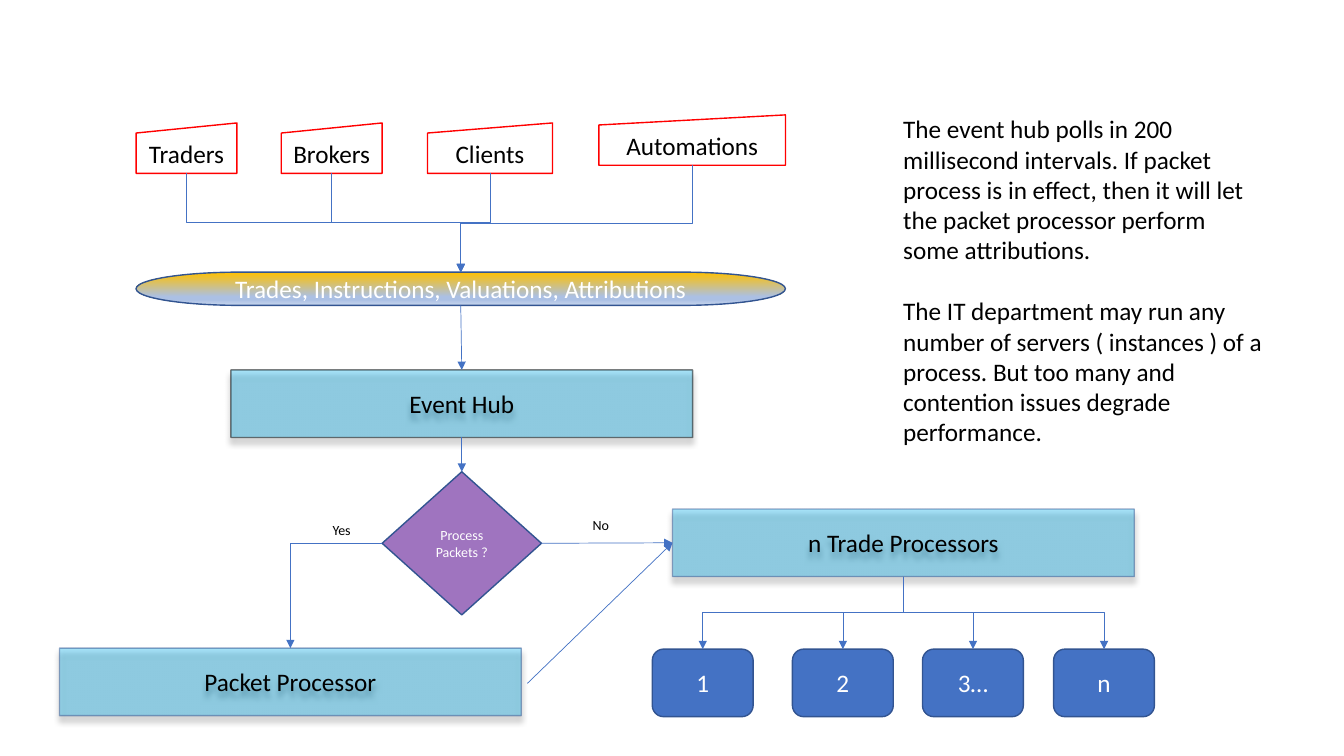
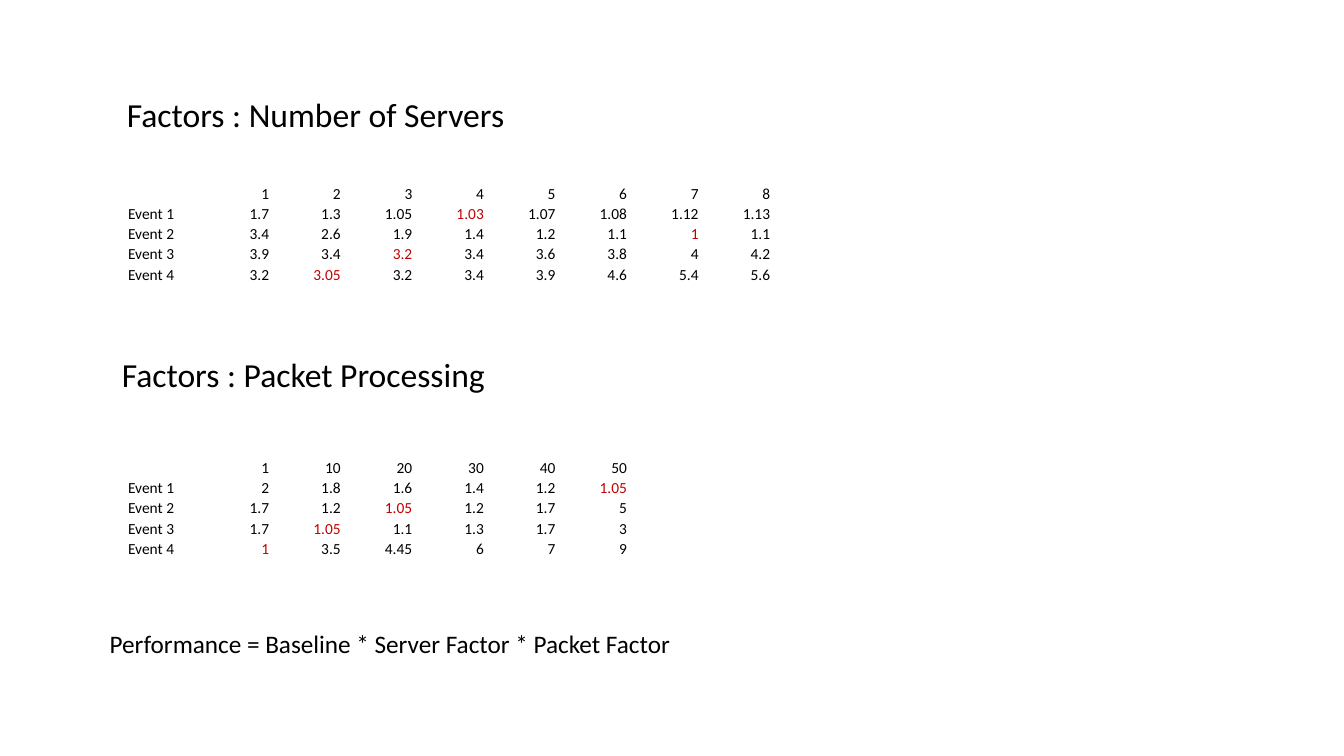
from dataclasses import dataclass
from typing import Optional

import pptx
import pptx.dml.color
import pptx.enum.shapes
import pptx.enum.text
import pptx.oxml.ns
import pptx.shapes.autoshape
import pptx.shapes.connector
import pptx.slide
import pptx.text.text
import pptx.util
from lxml import etree

Inches = pptx.util.Inches
Pt = pptx.util.Pt
RGBColor = pptx.dml.color.RGBColor
Preset = pptx.enum.shapes.MSO_SHAPE
Route = pptx.enum.shapes.MSO_CONNECTOR
Align = pptx.enum.text.PP_ALIGN
Anchor = pptx.enum.text.MSO_ANCHOR
qn = pptx.oxml.ns.qn
Shape = pptx.shapes.autoshape.Shape
Connector = pptx.shapes.connector.Connector
Slide = pptx.slide.Slide

FONT = "Calibri"
BLACK = RGBColor(0x00, 0x00, 0x00)
WHITE = RGBColor(0xFF, 0xFF, 0xFF)
RED = RGBColor(0xFF, 0x00, 0x00)
DARK_RED = RGBColor(0xC0, 0x00, 0x00)
BLUE = RGBColor(0x44, 0x72, 0xC4)
NAVY = RGBColor(0x32, 0x54, 0x91)
SKY = RGBColor(0x00, 0xB0, 0xF0)
PURPLE = RGBColor(0x70, 0x30, 0xA0)
GOLD = RGBColor(0xFF, 0xC0, 0x00)
PALE_BLUE = RGBColor(0xAB, 0xC0, 0xE4)
PALEST_BLUE = RGBColor(0xC7, 0xD5, 0xED)
MESSAGE_STOPS = ((0, GOLD), (74, PALE_BLUE), (83, PALE_BLUE), (100, PALEST_BLUE))

TOP, LEFT, BOTTOM, RIGHT = range(4)  # connection sites


@dataclass(frozen=True)
class Style:
    preset: Preset
    line: RGBColor
    fill: Optional[RGBColor] = None
    text: RGBColor = BLACK
    size: int = 18
    fill_opacity: int = 100
    line_opacity: int = 100
    shadow: bool = False


@dataclass(frozen=True)
class Node:
    text: str
    left: float
    top: float
    width: float
    height: float


@dataclass(frozen=True)
class Note:
    paragraphs: tuple[str, ...]
    left: float
    top: float
    width: float
    height: float
    size: int = 18


@dataclass(frozen=True)
class FactorTable:
    top: float
    header: str
    rows: tuple[str, ...]


SOURCE = Style(Preset.FLOWCHART_MANUAL_INPUT, RED)
MESSAGE = Style(Preset.FLOWCHART_TERMINATOR, NAVY, text=WHITE)
HUB = Style(Preset.FLOWCHART_PROCESS, BLACK, SKY,
            fill_opacity=34, line_opacity=50, shadow=True)
PROCESSOR = Style(Preset.FLOWCHART_PROCESS, NAVY, SKY,
                  fill_opacity=34, line_opacity=50, shadow=True)
DECISION = Style(Preset.DIAMOND, NAVY, PURPLE, WHITE, 10, fill_opacity=67)
INSTANCE = Style(Preset.FLOWCHART_ALTERNATE_PROCESS, NAVY, BLUE, WHITE)

SOURCES = (
    Node("Traders", 1.35, 1.22, 1, 0.5),
    Node("Brokers", 2.79, 1.22, 1, 0.5),
    Node("Clients", 4.24, 1.22, 1.24, 0.5),
    Node("Automations", 5.94, 1.14, 1.85, 0.5),
)
INSTANCES = (("1", 6.47), ("2", 7.86), ("3…", 9.15), ("n", 10.45))
FLOW_NOTES = (
    Note(("Yes",), 3.2, 5.12, 0.73, 0.27, 10),
    Note(("No",), 5.78, 5.08, 0.64, 0.27, 10),
    Note((
        "The event hub polls in 200 millisecond intervals. If packet process is in "
        "effect, then it will let the packet processor perform some attributions.",
        "The IT department may run any number of servers ( instances ) of a process. "
        "But too many and contention issues degrade performance.",
    ), 8.86, 1.08, 3.78, 3.43),
)

FACTOR_NOTES = (
    Note(("Factors : Number of Servers",), 1.16, 0.88, 6.67, 0.5, 24),
    Note(("Factors : Packet Processing",), 1.11, 3.46, 6.67, 0.5, 24),
    Note(("Performance = Baseline * Server Factor * Packet Factor",),
         0.99, 6.18, 6.84, 0.4),
)
FACTOR_TABLES = (
    FactorTable(1.82, "1 2 3 4 5 6 7 8", (
        "1.7 1.3 1.05 1.03 1.07 1.08 1.12 1.13",
        "3.4 2.6 1.9 1.4 1.2 1.1 1 1.1",
        "3.9 3.4 3.2 3.4 3.6 3.8 4 4.2",
        "3.2 3.05 3.2 3.4 3.9 4.6 5.4 5.6",
    )),
    FactorTable(4.54, "1 10 20 30 40 50", (
        "2 1.8 1.6 1.4 1.2 1.05",
        "1.7 1.2 1.05 1.2 1.7 5",
        "1.7 1.05 1.1 1.3 1.7 3",
        "1 3.5 4.45 6 7 9",
    )),
)


def set_font(para: pptx.text.text._Paragraph, size: int, color: RGBColor) -> None:
    para.font.name = FONT
    para.font.size = Pt(size)
    para.font.color.rgb = color


def set_opacity(parent: etree._Element, percent: int) -> None:
    """Make the solid fill directly inside parent partly transparent."""
    color = parent.find(qn("a:solidFill"))[0]
    etree.SubElement(color, qn("a:alpha"), val=str(percent * 1000))


def add_drop_shadow(shape: Shape) -> None:
    effects = shape._element.spPr.find(qn("a:effectLst"))
    shadow = etree.SubElement(effects, qn("a:outerShdw"), blurRad=str(Pt(4)),
                              dist=str(Pt(4)), dir="5400000", rotWithShape="0")
    color = etree.SubElement(shadow, qn("a:srgbClr"), val=str(BLACK))
    etree.SubElement(color, qn("a:alpha"), val="45000")


def fill_gradient(shape: Shape, stops: tuple[tuple[int, RGBColor], ...]) -> None:
    """Fill the shape from top to bottom."""
    shape.fill.gradient()
    shape.fill.gradient_angle = 270
    stop_list = shape._element.spPr.find(".//" + qn("a:gsLst"))
    for old_stop in list(stop_list):
        stop_list.remove(old_stop)
    for percent, color in stops:
        stop = etree.SubElement(stop_list, qn("a:gs"), pos=str(percent * 1000))
        etree.SubElement(stop, qn("a:srgbClr"), val=str(color))


def add_node(page: Slide, node: Node, style: Style) -> Shape:
    shape = page.shapes.add_shape(style.preset, Inches(node.left), Inches(node.top),
                                  Inches(node.width), Inches(node.height))
    shape.shadow.inherit = False
    properties = shape._element.spPr
    if style.fill is None:
        shape.fill.background()
    else:
        shape.fill.solid()
        shape.fill.fore_color.rgb = style.fill
        if style.fill_opacity < 100:
            set_opacity(properties, style.fill_opacity)
    shape.line.color.rgb = style.line
    shape.line.width = Pt(1)
    if style.line_opacity < 100:
        set_opacity(properties.find(qn("a:ln")), style.line_opacity)
    if style.shadow:
        add_drop_shadow(shape)
    frame = shape.text_frame
    frame.word_wrap = True
    frame.vertical_anchor = Anchor.MIDDLE
    para = frame.paragraphs[0]
    para.text = node.text
    para.alignment = Align.CENTER
    set_font(para, style.size, style.text)
    return shape


def add_note(page: Slide, note: Note) -> None:
    box = page.shapes.add_textbox(Inches(note.left), Inches(note.top),
                                  Inches(note.width), Inches(note.height))
    frame = box.text_frame
    frame.word_wrap = True
    frame.auto_size = pptx.enum.text.MSO_AUTO_SIZE.SHAPE_TO_FIT_TEXT
    for index, text in enumerate(note.paragraphs):
        para = frame.add_paragraph() if index else frame.paragraphs[0]
        para.text = text
        set_font(para, note.size, BLACK)
        if index:
            para.space_before = Pt(22)


def add_arrow(page: Slide, route: Route, x: float = 0, y: float = 0) -> Connector:
    arrow = page.shapes.add_connector(route, Inches(x), Inches(y), Inches(x), Inches(y))
    arrow.line.color.rgb = BLUE
    arrow.line.width = Pt(0.5)
    etree.SubElement(arrow.line._get_or_add_ln(), qn("a:tailEnd"), type="triangle")
    etree.SubElement(arrow._element.spPr, qn("a:effectLst"))
    return arrow


def join(page: Slide, start: Shape, end: Shape, start_site: int = BOTTOM,
         end_site: int = TOP, route: Route = Route.STRAIGHT) -> Connector:
    arrow = add_arrow(page, route)
    arrow.begin_connect(start, start_site)
    arrow.end_connect(end, end_site)
    return arrow


def join_down(page: Slide, start: Shape, end: Shape, bend: float = 0.5) -> None:
    """Join by an elbow that goes down, across at the bend, and down again."""
    arrow = join(page, start, end, route=Route.ELBOW)
    across = arrow.end_x - arrow.begin_x
    drop = arrow.end_y - arrow.begin_y
    middle_x = (arrow.begin_x + arrow.end_x) // 2
    middle_y = (arrow.begin_y + arrow.end_y) // 2
    arrow.width, arrow.height = drop, abs(across)
    arrow.left, arrow.top = middle_x - drop // 2, middle_y - abs(across) // 2
    frame = arrow._element.spPr.find(qn("a:xfrm"))
    frame.set("rot", str((270 if across > 0 else 90) * 60000))
    frame.set("flipH", "1" if across > 0 else "0")
    frame.set("flipV", "0")
    if bend != 0.5:
        guides = arrow._element.spPr.find(".//" + qn("a:avLst"))
        etree.SubElement(guides, qn("a:gd"), name="adj1", fmla=f"val {bend * 100000:.0f}")


def add_factor_table(page: Slide, factors: FactorTable) -> None:
    """Draw the factors, with the lowest of each event in red."""
    header = factors.header.split()
    rows = [["", *header]]
    rows += [[f"Event {number}", *row.split()]
             for number, row in enumerate(factors.rows, 1)]
    column_width = Inches(0.71)
    table = page.shapes.add_table(
        len(rows), len(rows[0]), Inches(1.26), Inches(factors.top),
        column_width * len(rows[0]), Inches(0.2) * len(rows)).table
    table.first_row = table.horz_banding = False
    for column in table.columns:
        column.width = column_width
    for row_index, row in enumerate(rows):
        lowest = min(row[1:], key=float) if row_index else None
        for column_index, text in enumerate(row):
            cell = table.cell(row_index, column_index)
            cell.fill.background()
            cell.margin_left = cell.margin_right = cell.margin_top = Inches(0.01)
            cell.margin_bottom = 0
            cell.vertical_anchor = Anchor.BOTTOM
            para = cell.text_frame.paragraphs[0]
            para.text = text
            para.alignment = Align.RIGHT if column_index else Align.LEFT
            set_font(para, 11, DARK_RED if text == lowest else BLACK)
            if not text:
                etree.SubElement(para._p, qn("a:endParaRPr"), sz="1100")


def build_flow(page: Slide) -> None:
    sources = [add_node(page, source, SOURCE) for source in SOURCES]
    messages = add_node(page, Node("Trades, Instructions, Valuations, Attributions",
                                   1.35, 2.7, 6.44, 0.33), MESSAGE)
    fill_gradient(messages, MESSAGE_STOPS)
    hub = add_node(page, Node("Event Hub", 2.29, 3.67, 4.58, 0.67), HUB)
    decision = add_node(page, Node("Process Packets ?", 3.79, 4.68, 1.58, 1.42), DECISION)
    packet = add_node(page, Node("Packet Processor", 0.59, 6.43, 4.58, 0.67), PROCESSOR)
    trade = add_node(page, Node("n Trade Processors", 6.67, 5.05, 4.58, 0.67), PROCESSOR)

    for source, node in zip(sources, SOURCES):
        join_down(page, source, messages, 0.54 if node.top < 1.2 else 0.5)
    join(page, messages, hub)
    join(page, hub, decision)
    join(page, decision, trade, RIGHT, LEFT)
    yes_arrow = join(page, decision, packet, LEFT, TOP, Route.ELBOW)
    yes_arrow._element.spPr.find(qn("a:prstGeom")).set("prst", "bentConnector2")
    add_arrow(page, Route.STRAIGHT, 5.23, 6.78).end_connect(trade, LEFT)
    for text, left in INSTANCES:
        instance = add_node(page, Node(text, left, 6.44, 1, 0.67), INSTANCE)
        join_down(page, trade, instance)
    for note in FLOW_NOTES:
        add_note(page, note)


def build_factors(page: Slide) -> None:
    for note in FACTOR_NOTES:
        add_note(page, note)
    for factors in FACTOR_TABLES:
        add_factor_table(page, factors)


def main() -> None:
    deck = pptx.Presentation()
    deck.slide_width, deck.slide_height = Inches(13.33), Inches(7.5)
    for build in (build_flow, build_factors):
        build(deck.slides.add_slide(deck.slide_layouts[6]))
    deck.save("out.pptx")


if __name__ == "__main__":
    main()
